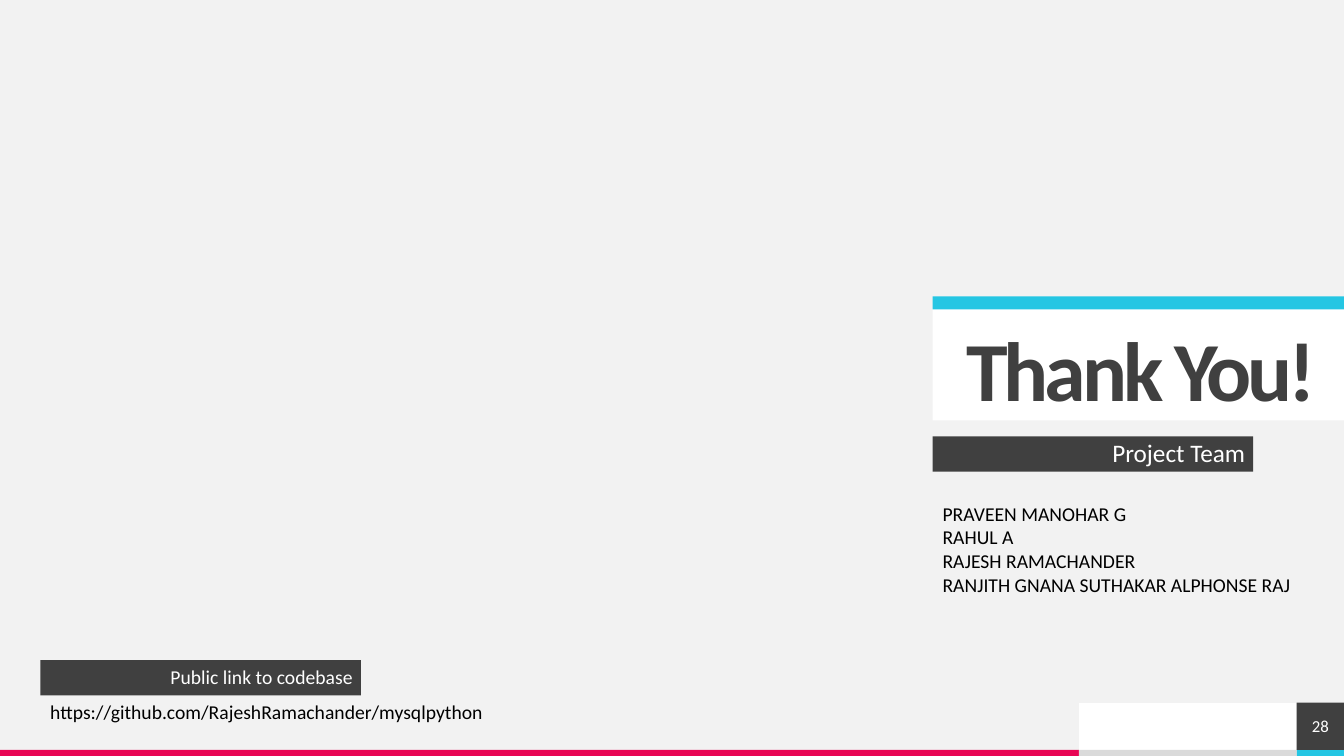
from typing import NamedTuple

from lxml.etree import SubElement
from pptx import Presentation
from pptx.dml.color import RGBColor
from pptx.enum.shapes import MSO_CONNECTOR, MSO_SHAPE
from pptx.enum.text import MSO_ANCHOR, MSO_AUTO_SIZE, PP_ALIGN
from pptx.oxml.ns import qn
from pptx.util import Inches, Pt

HUES = {"back": "F2F2F2", "white": "FFFFFF", "dark": "404040", "cyan": "25C6E3",
        "pink": "E80554", "gray": "DADADA", "black": "000000"}
WIDE, HIGH = 13.33, 7.5
SPLIT, EDGE = 10.7, 12.86
FOOT, BASE = 6.97, 7.44
LEFT, SIDE = 0.4, 9.25


class Box(NamedTuple):
    left: float
    top: float
    width: float
    height: float


class Bar(NamedTuple):
    box: Box
    hue: str


class Label(NamedTuple):
    slot: int
    box: Box
    text: str
    size: int


class Note(NamedTuple):
    box: Box
    text: str


BARS = [
    Bar(Box(SPLIT, FOOT, EDGE - SPLIT, BASE - FOOT), "white"),
    Bar(Box(0, FOOT, SPLIT, BASE - FOOT), "back"),
    Bar(Box(EDGE, BASE, WIDE - EDGE, HIGH - BASE), "cyan"),
    Bar(Box(0, BASE, SPLIT, HIGH - BASE), "pink"),
    Bar(Box(SPLIT, BASE, EDGE - SPLIT, HIGH - BASE), "gray"),
    Bar(Box(SIDE, 2.94, WIDE - SIDE, 0.13), "cyan"),
]
LABELS = [
    Label(1, Box(SIDE, 4.33, 3.18, 0.35), "Project Team", 18),
    Label(3, Box(LEFT, 6.55, 3.18, 0.35), "Public link to codebase", 14),
]
NOTES = [
    Note(Box(SIDE, 4.93, 3.81, 1.04),
         "PRAVEEN MANOHAR G\nRAHUL A\nRAJESH RAMACHANDER\n"
         "RANJITH GNANA SUTHAKAR ALPHONSE RAJ"),
    Note(Box(LEFT, 6.89, 6.67, 0.34),
         "https://github.com/RajeshRamachander/mysqlpython"),
]


def tint(name: str) -> RGBColor:
    return RGBColor.from_string(HUES[name])


def span(box: Box) -> list:
    return [Inches(side) for side in box]


def paint(shape, hue: str) -> None:
    shape.fill.solid()
    shape.fill.fore_color.rgb = tint(hue)
    shape.line.fill.background()


def place(shape, box: Box) -> None:
    shape.left, shape.top, shape.width, shape.height = span(box)


def write(shape, text: str, *, size: int, hue: str, bold: bool = False,
          align=PP_ALIGN.LEFT, anchor=MSO_ANCHOR.TOP, lead: float = 1.0,
          pad: tuple = (0.1, 0.05, 0.1, 0.05), track: int = 0) -> None:
    frame = shape.text_frame
    frame.text = text
    frame.word_wrap = True
    frame.auto_size = MSO_AUTO_SIZE.NONE
    frame.vertical_anchor = anchor
    (frame.margin_left, frame.margin_top,
     frame.margin_right, frame.margin_bottom) = [Inches(gap) for gap in pad]
    for para in frame.paragraphs:
        para.alignment, para.line_spacing = align, lead
        para.space_before = Pt(0)
        for run in para.runs:
            font = run.font
            font.name, font.size, font.bold = "Calibri", Pt(size), bold
            font.color.rgb = tint(hue)
            if track:
                run._r.get_or_add_rPr().set("spc", str(track * 100))


def block(slide, box: Box, hue: str):
    shape = slide.shapes.add_shape(MSO_SHAPE.RECTANGLE, *span(box))
    shape.shadow.inherit = False
    paint(shape, hue)
    return shape


def rule(slide) -> None:
    line = slide.shapes.add_connector(
        MSO_CONNECTOR.STRAIGHT, Inches(WIDE), Inches(FOOT), Inches(0), Inches(FOOT))
    line.line.color.rgb = tint("back")
    line.line.width = Pt(0.5)
    SubElement(line._element.spPr, qn("a:effectLst"))


def main() -> None:
    """Build the closing slide with the team and the code link."""
    deck = Presentation()
    deck.slide_width, deck.slide_height = Inches(WIDE), Inches(HIGH)
    slide = deck.slides.add_slide(deck.slide_layouts[4])
    slide.background.fill.solid()
    slide.background.fill.fore_color.rgb = tint("back")
    slots = {item.placeholder_format.idx: item for item in slide.placeholders}
    for spare in (2, 4):
        node = slots[spare]._element
        node.getparent().remove(node)

    for bar in BARS:
        block(slide, bar.box, bar.hue)
    rule(slide)

    title = slide.shapes.title
    place(title, Box(SIDE, 3.06, WIDE - SIDE, 1.11))
    paint(title, "white")
    write(title, "Thank You!", size=60, hue="dark", bold=True, lead=0.9,
          align=PP_ALIGN.RIGHT, pad=(0.2, 0.2, 0.28, 0.2), track=-3)

    for label in LABELS:
        shape = slots[label.slot]
        place(shape, label.box)
        paint(shape, "dark")
        write(shape, label.text, size=label.size, hue="white", lead=0.9,
              align=PP_ALIGN.RIGHT, anchor=MSO_ANCHOR.MIDDLE, pad=(0, 0, 0.08, 0))

    page = block(slide, Box(EDGE, FOOT, WIDE - EDGE, BASE - FOOT), "dark")
    write(page, "28", size=12, hue="white", align=PP_ALIGN.CENTER,
          anchor=MSO_ANCHOR.MIDDLE, pad=(0, 0, 0, 0))

    for note in NOTES:
        write(slide.shapes.add_textbox(*span(note.box)), note.text,
              size=14, hue="black")
    deck.save("out.pptx")


if __name__ == "__main__":
    main()
